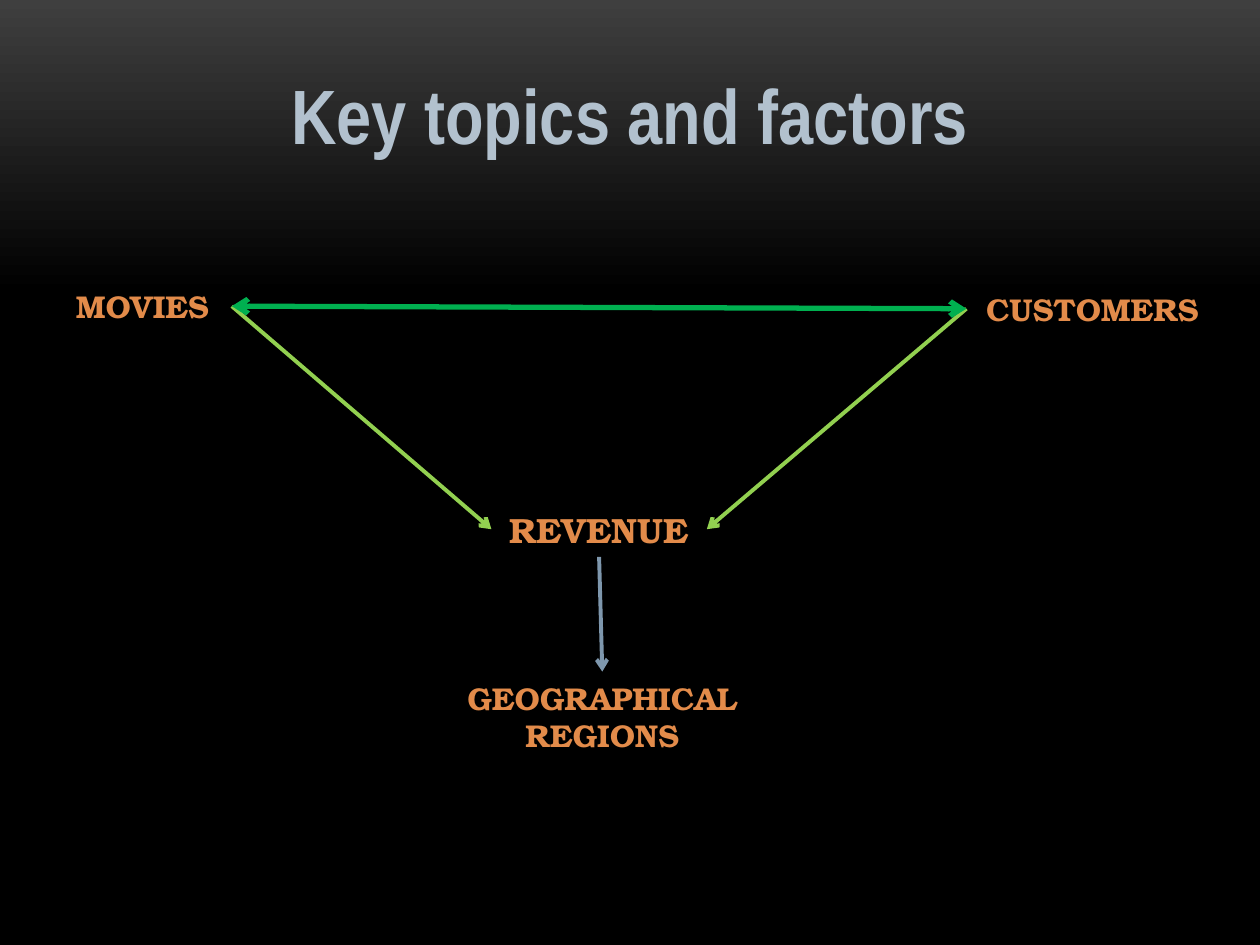
from lxml import etree
from pptx import Presentation
from pptx.dml.color import RGBColor
from pptx.enum.shapes import MSO_CONNECTOR
from pptx.enum.text import MSO_ANCHOR, PP_ALIGN
from pptx.oxml.ns import qn
from pptx.util import Inches, Pt

STRAIGHT = MSO_CONNECTOR.STRAIGHT
MIDDLE = MSO_ANCHOR.MIDDLE
CENTER = PP_ALIGN.CENTER
TOP, LEFT, BOTTOM, RIGHT = range(4)

WIDTH, HEIGHT = 10, 7.5
TITLE = "Key topics and factors"
TITLE_BOX = (0, 0.48, WIDTH, 0.84)
TITLE_FONT = {"name": "Arial Narrow", "size": Pt(44), "bold": True}
TITLE_COLOR, TITLE_OUTLINE = "B2C1CE", ("FFFFFF", 0.75)
LABEL_FONT = {"name": "TeX Gyre Bonum", "bold": True}
LABEL_COLOR, LABEL_OUTLINE = "E28B4A", ("E28B4A", 1.42)
BACKGROUND = [(0, "3F3F3F"), (0.31, "000000")]

# text, (left, top, width, height) in inches, size in points
TOPICS = [
    ("MOVIES", (0.42, 2.23, 1.42, 0.4), 18),
    ("CUSTOMERS", (7.67, 2.25, 2, 0.4), 18),
    ("REVENUE", (3.9, 3.98, 1.71, 0.44), 20),
    ("GEOGRAPHICAL REGIONS", (3.25, 5.33, 3.06, 0.71), 18),
]

# (topic, side) at each end, colour, width in points, arrowheads
LINKS = [
    ("MOVIES", RIGHT, "REVENUE", LEFT, "92D050", 2.25, ["tailEnd"]),
    ("CUSTOMERS", LEFT, "REVENUE", RIGHT, "92D050", 2.25, ["tailEnd"]),
    ("MOVIES", RIGHT, "CUSTOMERS", LEFT, "00B050", 3, ["headEnd", "tailEnd"]),
    ("REVENUE", BOTTOM, "GEOGRAPHICAL REGIONS", TOP, "7E97AD", 2.25, ["tailEnd"]),
]


def rgb(value):
    return RGBColor.from_string(value)


def inches(box):
    return [Inches(v) for v in box]


def write(shape, text, font, color, outline):
    """Fill a shape with one centred run of outlined text."""
    tf = shape.text_frame
    tf.word_wrap = True
    tf.vertical_anchor = MIDDLE
    p = tf.paragraphs[0]
    p.alignment = CENTER
    r = p.add_run()
    r.text = text
    for name, value in font.items():
        setattr(r.font, name, value)
    r.font.color.rgb = rgb(color)
    line_color, points = outline
    ln = etree.Element(qn("a:ln"), w=str(Pt(points)))
    fill = etree.SubElement(ln, qn("a:solidFill"))
    etree.SubElement(fill, qn("a:srgbClr"), val=line_color)
    r.font._element.insert(0, ln)


def link(s, start, start_side, end, end_side, color, points, heads):
    c = s.shapes.add_connector(STRAIGHT, 0, 0, 0, 0)
    c.begin_connect(start, start_side)
    c.end_connect(end, end_side)
    c.line.color.rgb = rgb(color)
    c.line.width = Pt(points)
    for head in heads:
        etree.SubElement(c.line._get_or_add_ln(), qn("a:" + head), type="arrow")
    etree.SubElement(c._element.spPr, qn("a:effectLst"))


def main():
    prs = Presentation()
    prs.slide_width, prs.slide_height = inches((WIDTH, HEIGHT))
    s = prs.slides.add_slide(prs.slide_layouts[5])

    fill = s.background.fill
    fill.gradient()
    fill.gradient_angle = 270
    for stop, (position, color) in zip(fill.gradient_stops, BACKGROUND):
        stop.position = position
        stop.color.rgb = rgb(color)

    title = s.shapes.title
    title.left, title.top, title.width, title.height = inches(TITLE_BOX)
    write(title, TITLE, TITLE_FONT, TITLE_COLOR, TITLE_OUTLINE)

    topics = {}
    for text, box, size in TOPICS:
        topics[text] = s.shapes.add_textbox(*inches(box))
        write(topics[text], text, {**LABEL_FONT, "size": Pt(size)},
              LABEL_COLOR, LABEL_OUTLINE)

    for start, start_side, end, end_side, *style in LINKS:
        link(s, topics[start], start_side, topics[end], end_side, *style)

    prs.save("out.pptx")


if __name__ == "__main__":
    main()
